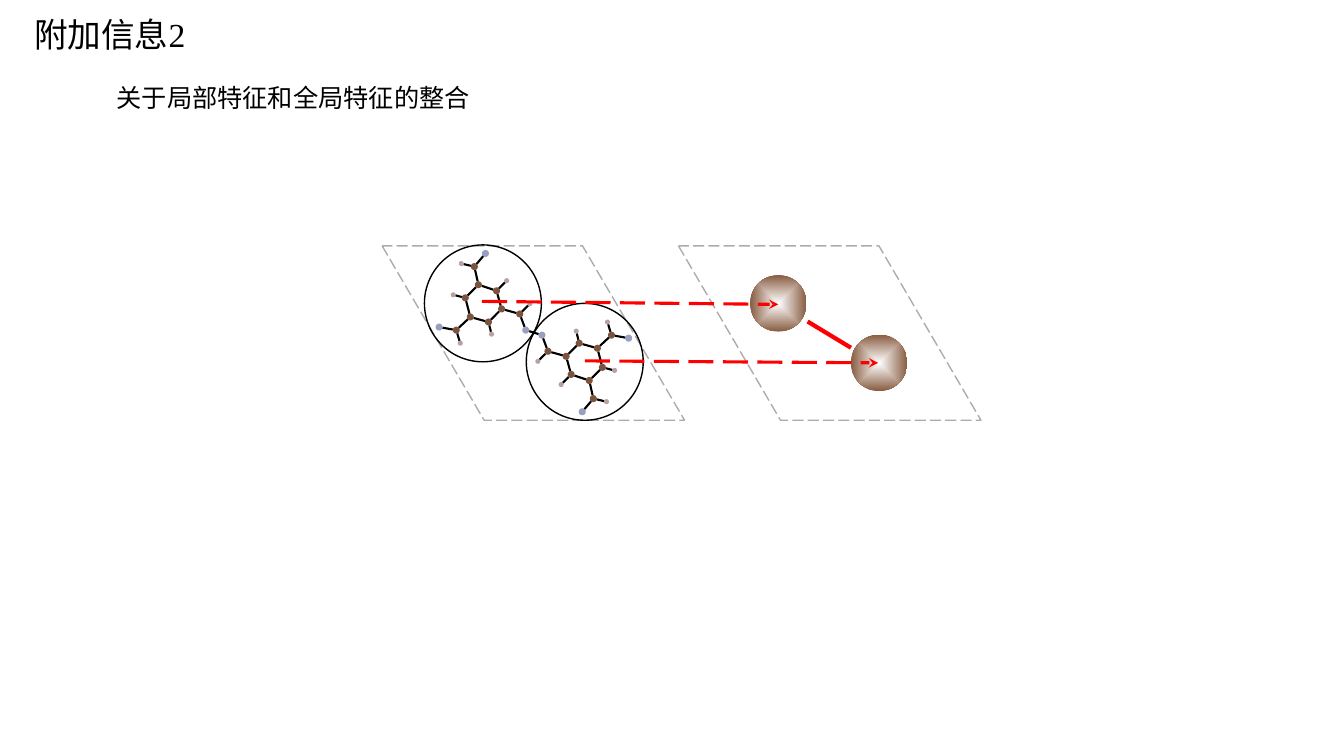
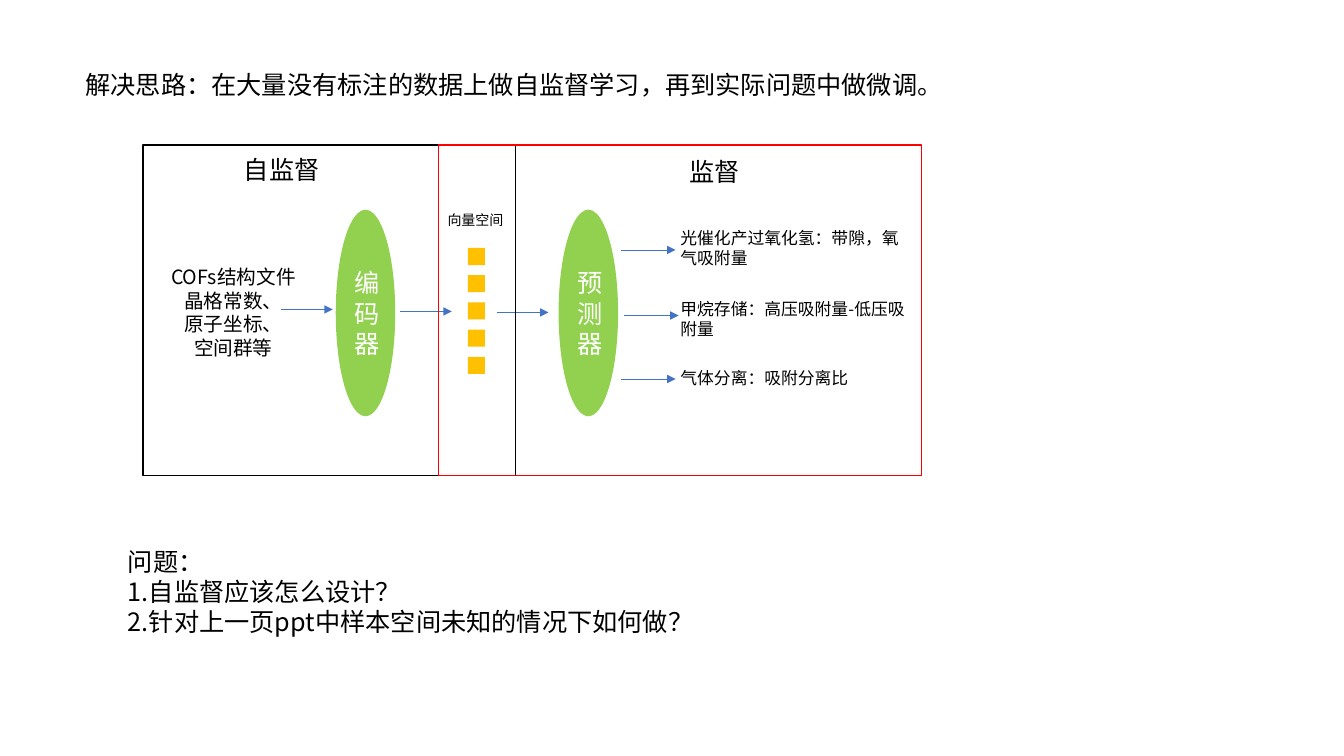
from math import hypot

from lxml import etree
from pptx import Presentation
from pptx.dml.color import RGBColor
from pptx.enum.dml import MSO_LINE
from pptx.enum.shapes import MSO_CONNECTOR, MSO_SHAPE
from pptx.enum.text import MSO_AUTO_SIZE, PP_ALIGN
from pptx.oxml import parse_xml
from pptx.oxml.ns import nsdecls, qn
from pptx.util import Inches, Pt

ELLIPSE, RECT, PARALLELOGRAM = MSO_SHAPE.OVAL, MSO_SHAPE.RECTANGLE, MSO_SHAPE.PARALLELOGRAM
STRAIGHT = MSO_CONNECTOR.STRAIGHT
LONG_DASH = MSO_LINE.LONG_DASH
LEFT, CENTER = PP_ALIGN.LEFT, PP_ALIGN.CENTER
GROW = MSO_AUTO_SIZE.SHAPE_TO_FIT_TEXT

BLACK, WHITE, RED = "000000", "FFFFFF", "FF0000"
GRAY, BLUE, GREEN, AMBER = "AFABAB", "4472C4", "92D050", "FFC000"
CARBON, NITROGEN, HYDROGEN = "7C543D", "989FBF", "BAA1A1"
BEAD_STOPS = [(0, "BAA1A1"), (0, WHITE), (100, "885C41"), (100, "885C41")]
SANS, SERIF = "Noto Sans CJK SC", "Times New Roman"

# One half of the molecule: name -> (left, top, element colour)
ATOMS = {
    "n1": (4.32, 3.21, NITROGEN), "n2": (5.18, 3.24, NITROGEN), "n3": (4.78, 2.48, NITROGEN),
    "a": (4.49, 3.24, CARBON), "b": (5.12, 3.08, CARBON), "d": (4.67, 2.61, CARBON),
    "r1": (4.63, 3.11, CARBON), "r2": (4.58, 2.92, CARBON), "r3": (4.71, 2.79, CARBON),
    "r4": (4.89, 2.85, CARBON), "r5": (4.94, 3.03, CARBON), "r6": (4.81, 3.16, CARBON),
    "h1": (4.54, 3.38, HYDROGEN), "h2": (4.85, 3.29, HYDROGEN), "h3": (4.47, 2.9, HYDROGEN),
    "h4": (4.55, 2.59, HYDROGEN), "h5": (5, 2.76, HYDROGEN), "h6": (5.23, 2.99, HYDROGEN),
}
BONDS = ("n1-a a-h1 a-r1 r1-r2 r2-r3 r3-r4 r4-r5 r5-r6 r6-r1 r5-b r6-h2 "
         "b-n2 b-h6 r3-d r4-h5 d-n3 d-h4 r2-h3").split()
MIRROR_X, MIRROR_Y = 10.59, 6.6  # sums of the coordinates of two matching atoms


def rgb(value):
    return RGBColor.from_string(value)


class Deck:
    def __init__(self):
        self.prs = Presentation()
        self.prs.slide_width, self.prs.slide_height = Inches(13.33), Inches(7.5)

    def new_slide(self):
        self.slide = self.prs.slides.add_slide(self.prs.slide_layouts[6])
        self.end_group()

    def start_group(self):
        """Send the elements that follow into a new group."""
        self.shapes = self.slide.shapes.add_group_shape().shapes

    def end_group(self):
        self.shapes = self.slide.shapes

    def set_text(self, tf, lines, size, color=BLACK, font=SANS, align=LEFT):
        tf.word_wrap = True
        tf.text = "\n".join(lines)
        for p in tf.paragraphs:
            p.alignment = align
            p.font.size = Pt(size)
            p.font.color.rgb = rgb(color)
            p.font.name = font
            props = p._p.find(".//" + qn("a:defRPr"))
            etree.SubElement(props, qn("a:ea")).set("typeface", SANS)

    def text(self, x, y, w, h, *lines, size=18, **style):
        tf = self.shapes.add_textbox(Inches(x), Inches(y), Inches(w), Inches(h)).text_frame
        self.set_text(tf, lines, size, **style)
        tf.auto_size = GROW

    def shape(self, kind, x, y, w, h, fill=None, line=None, dash=None):
        sp = self.shapes.add_shape(kind, Inches(x), Inches(y), Inches(w), Inches(h))
        sp.shadow.inherit = False
        if fill:
            sp.fill.solid()
            sp.fill.fore_color.rgb = rgb(fill)
        else:
            sp.fill.background()
        if line:
            sp.line.color.rgb = rgb(line)
            sp.line.width = Pt(1)
            sp.line.dash_style = dash
        else:
            sp.line.fill.background()
        return sp

    def plane(self, x, y):
        """Dashed parallelogram leaning to the left."""
        sp = self.shape(PARALLELOGRAM, x, y, 3, 1.73, line=GRAY, dash=LONG_DASH)
        sp.adjustments[0] = 0.585
        sp.element.spPr.find(qn("a:xfrm")).set("flipV", "1")

    def bead(self, x, y):
        """Ball with a gradient from its centre."""
        sp = self.shape(ELLIPSE, x, y, 0.56, 0.56)
        stops = "".join(f'<a:gs pos="{pos * 1000}"><a:srgbClr val="{color}"/></a:gs>'
                        for pos, color in BEAD_STOPS)
        none = sp.element.spPr.find(qn("a:noFill"))
        none.getparent().replace(none, parse_xml(
            f'<a:gradFill {nsdecls("a")}><a:gsLst>{stops}</a:gsLst><a:path path="shape">'
            '<a:fillToRect l="50000" t="50000" r="50000" b="50000"/></a:path></a:gradFill>'))

    def line(self, x1, y1, x2, y2, color, width, dash=None, tail=None):
        c = self.shapes.add_connector(STRAIGHT, Inches(x1), Inches(y1), Inches(x2), Inches(y2))
        c.line.color.rgb = rgb(color)
        c.line.width = Pt(width)
        c.line.dash_style = dash
        props = c.element.spPr
        if tail:
            etree.SubElement(props.find(qn("a:ln")), qn("a:tailEnd")).set("type", tail)
        etree.SubElement(props, qn("a:effectLst"))

    def arrow(self, x, y, length):
        self.line(x, y, x + length, y, BLUE, 0.5, tail="triangle")

    def network(self, x, y, label):
        """Green upright ellipse with its label, one character a line."""
        sp = self.shape(ELLIPSE, x, y, 0.59, 2.05, fill=GREEN)
        self.set_text(sp.text_frame, [label], 18, color=WHITE, align=CENTER)

    def bond(self, start, end):
        """Line between the rims of two atoms given as (centre x, centre y, radius)."""
        (x1, y1, r1), (x2, y2, r2) = start, end
        dist = hypot(x2 - x1, y2 - y1)
        ux, uy = (x2 - x1) / dist, (y2 - y1) / dist
        self.line(x1 + ux * r1, y1 + uy * r1, x2 - ux * r2, y2 - uy * r2, BLACK, 1.5)

    def molecule(self):
        """Two halves, the second turned by 180 degrees, joined at n2."""
        halves = []
        for mirrored in (False, True):
            half = {}
            for name, (x, y, color) in ATOMS.items():
                size = 0.05 if color == HYDROGEN else 0.07
                if mirrored:
                    x, y = MIRROR_X - x - size, MIRROR_Y - y - size
                self.shape(ELLIPSE, x, y, size, size, fill=color)
                half[name] = (x + size / 2, y + size / 2, size / 2)
            halves.append(half)
        for half in halves:
            for pair in BONDS:
                start, end = pair.split("-")
                self.bond(half[start], half[end])
        self.bond(halves[0]["n2"], halves[1]["n2"])


def features_slide(d):
    d.new_slide()
    d.text(0.24, 0.09, 8.97, 0.5, "附加信息2", size=24, font=SERIF)
    d.text(1.06, 0.77, 8.97, 0.4, "关于局部特征和全局特征的整合")

    d.start_group()
    d.plane(3.79, 2.44)
    d.molecule()

    d.start_group()
    d.bead(7.44, 2.73)
    d.bead(8.44, 3.32)
    d.plane(6.73, 2.44)
    d.end_group()

    d.line(8.01, 3.19, 8.44, 3.45, RED, 3)
    for x, y in ((4.21, 2.43), (5.22, 3.01)):
        d.shape(ELLIPSE, x, y, 1.16, 1.16, line=BLACK)
    for ends in ((4.78, 2.99, 7.72, 3.02), (5.8, 3.58, 8.71, 3.6)):
        d.line(*ends, RED, 2.25, dash=LONG_DASH, tail="stealth")


def learning_slide(d):
    d.new_slide()
    d.text(0.75, 0.64, 9.08, 0.4,
           "解决思路：在大量没有标注的数据上做自监督学习，再到实际问题中做微调。")

    d.text(1.58, 2.58, 1.47, 1.04, "COFs结构文件晶格常数、", "原子坐标、", "空间群等",
           size=14, align=CENTER)
    d.network(3.33, 2.08, "编码器")
    for i in range(5):
        d.shape(RECT, 4.64, 2.46 + 0.27 * i, 0.17, 0.17, fill=AMBER)
    d.text(4.34, 2.05, 0.78, 0.27, "向量空间", size=10)
    d.network(5.54, 2.08, "预测器")
    for x, y in ((2.79, 3.07), (3.97, 3.09), (4.93, 3.1)):
        d.arrow(x, y, 0.51)

    tasks = [
        (2.21, 0.5, "光催化产过氧化氢：带隙，氧气吸附量", 6.16, 2.48),
        (2.91, 0.5, "甲烷存储：高压吸附量-低压吸附量", 6.19, 3.13),
        (3.6, 0.3, "气体分离：吸附分离比", 6.16, 3.76),
    ]
    for top, height, task, arrow_x, arrow_y in tasks:
        d.text(6.65, top, 2.49, height, task, size=12)
        d.arrow(arrow_x, arrow_y, 0.54)

    d.shape(RECT, 1.42, 1.44, 3.69, 3.28, line=BLACK)
    d.shape(RECT, 4.35, 1.44, 4.79, 3.28, line=RED)
    d.text(2.32, 1.48, 1.07, 0.4, "自监督")
    d.text(6.74, 1.5, 1.07, 0.4, "监督")

    d.text(1.17, 5.37, 8.76, 1.01, "问题：", "1.自监督应该怎么设计？",
           "2.针对上一页ppt中样本空间未知的情况下如何做？")


def main():
    d = Deck()
    features_slide(d)
    learning_slide(d)
    d.prs.save("out.pptx")


if __name__ == "__main__":
    main()
